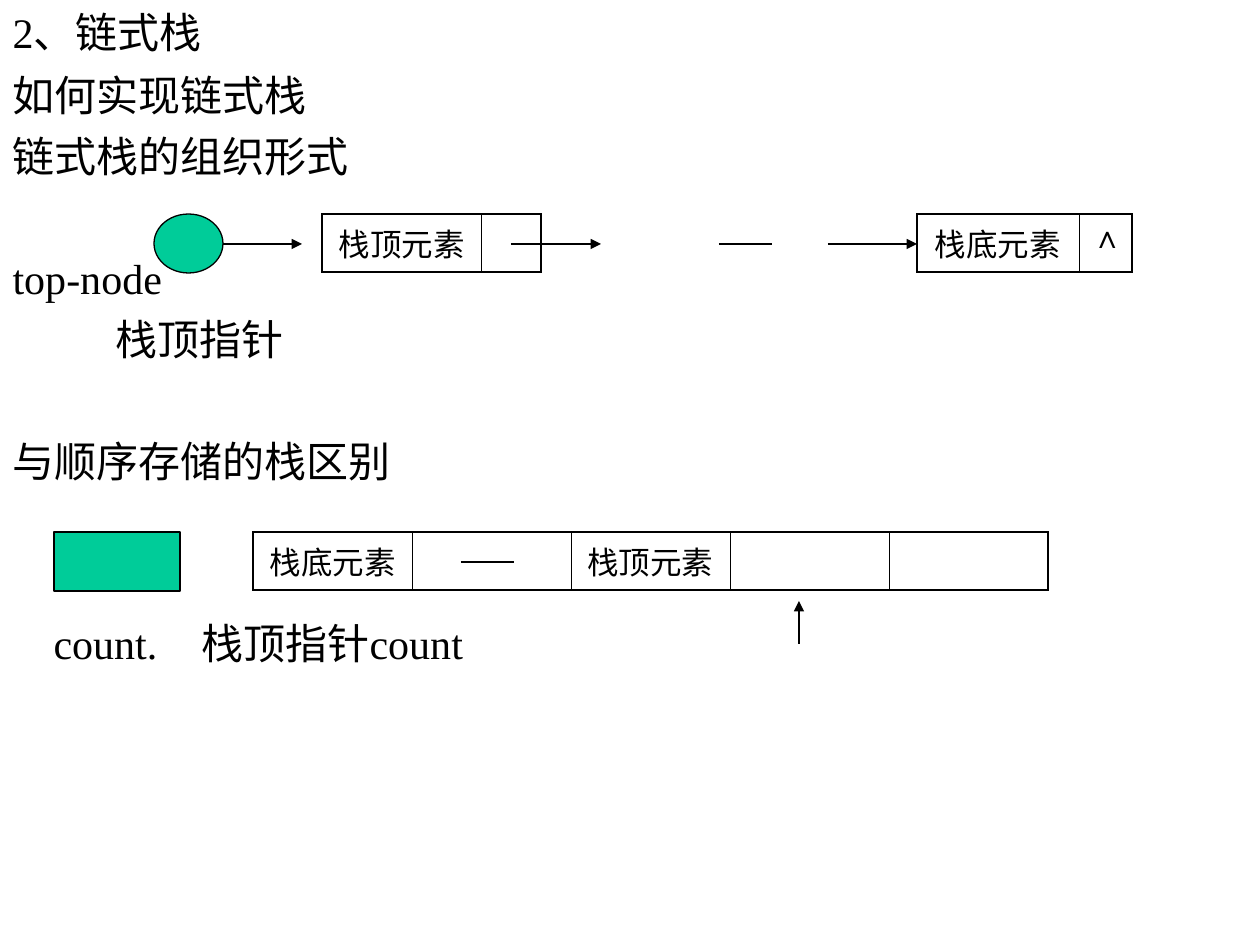
"""Build a slide that compares a linked stack with a sequential stack."""
from lxml import etree
from pptx import Presentation
from pptx.dml.color import RGBColor
from pptx.enum.shapes import MSO_CONNECTOR, MSO_SHAPE
from pptx.enum.text import MSO_ANCHOR, MSO_AUTO_SIZE, PP_ALIGN
from pptx.oxml.ns import qn
from pptx.util import Pt

PIXEL = 914400 // 126
BLACK = RGBColor(0x00, 0x00, 0x00)
GREEN = RGBColor(0x00, 0xCC, 0x99)
FONT = "Times New Roman"
LEFT, CENTER = PP_ALIGN.LEFT, PP_ALIGN.CENTER
TOP, MIDDLE = MSO_ANCHOR.TOP, MSO_ANCHOR.MIDDLE
STRAIGHT = MSO_CONNECTOR.STRAIGHT
OUTER, INNER = Pt(1.08), Pt(0.45)


def write_text(paragraph, text, size=24, align=LEFT, before=0):
    paragraph.alignment = align
    paragraph.space_before = Pt(before)
    run = paragraph.add_run()
    run.text = text
    run.font.size = Pt(size)
    run.font.name = FONT
    run.font.color.rgb = BLACK


def add_border(cell, side, width):
    properties = cell._tc.get_or_add_tcPr()
    border = etree.SubElement(properties, qn(f"a:{side}"), w=str(width))
    fill = etree.SubElement(border, qn("a:solidFill"))
    etree.SubElement(fill, qn("a:srgbClr"), val=str(BLACK))


presentation = Presentation()
presentation.slide_width = 1260 * PIXEL
presentation.slide_height = 945 * PIXEL
slide = presentation.slides.add_slide(presentation.slide_layouts[1])

title = slide.shapes.title
body = slide.placeholders[1]
for placeholder, top, width, height, anchor in (
    (title, 0, 1071, 63, MIDDLE),
    (body, 63, 1229, 851, TOP),
):
    placeholder.left, placeholder.top = 0, top * PIXEL
    placeholder.width, placeholder.height = width * PIXEL, height * PIXEL
    placeholder.text_frame.auto_size = MSO_AUTO_SIZE.NONE
    placeholder.text_frame.word_wrap = True
    placeholder.text_frame.vertical_anchor = anchor
write_text(title.text_frame.paragraphs[0], "2、链式栈")

body_lines = [
    ("如何实现链式栈", 0, 6),
    ("链式栈的组织形式", 0, 6),
    ("top-node", 0, 41),
    ("栈顶指针", 103, 6),
    ("与顺序存储的栈区别", 0, 41),
    ("count.\t栈顶指针count", 41, 75),
]
for index, (text, indent, before) in enumerate(body_lines):
    frame = body.text_frame
    paragraph = frame.add_paragraph() if index else frame.paragraphs[0]
    write_text(paragraph, text, before=before)
    properties = paragraph._p.get_or_add_pPr()
    properties.set("marL", "0")
    properties.set("indent", str(indent * PIXEL))
    etree.SubElement(properties, qn("a:buNone"))
    if "\t" in text:
        tabs = etree.SubElement(properties, qn("a:tabLst"))
        etree.SubElement(tabs, qn("a:tab"), pos=str(817 * PIXEL), algn="l")

ROW_HEIGHT = 58
stack_tables = [
    (253, 532, [159] * 5, ["栈底元素", "", "栈顶元素", "", ""]),
    (322, 214, [159, 60], ["栈顶元素", ""]),
    (917, 214, [162, 53], ["栈底元素", "∧"]),
]
for left, top, widths, texts in stack_tables:
    table = slide.shapes.add_table(
        1, len(widths), left * PIXEL, top * PIXEL, sum(widths) * PIXEL, ROW_HEIGHT * PIXEL
    ).table
    table.first_row = False
    table.horz_banding = False
    last = len(widths) - 1
    for column, (width, text) in enumerate(zip(widths, texts)):
        table.columns[column].width = width * PIXEL
        cell = table.cell(0, column)
        add_border(cell, "lnL", INNER if column else OUTER)
        add_border(cell, "lnR", OUTER if column == last else INNER)
        add_border(cell, "lnT", OUTER)
        add_border(cell, "lnB", OUTER)
        cell.fill.background()
        symbol = text == "∧"
        cell.vertical_anchor = TOP if symbol else MIDDLE
        if text:
            align = LEFT if symbol else CENTER
            write_text(cell.text_frame.paragraphs[0], text, size=18, align=align, before=4.5)

lines = [
    (799, 644, 799, 601, True),
    (184, 244, 302, 244, True),
    (511, 244, 601, 244, True),
    (719, 244, 772, 244, False),
    (828, 244, 917, 244, True),
    (461, 562, 514, 562, False),
]
for *ends, has_arrow in lines:
    connector = slide.shapes.add_connector(STRAIGHT, *[end * PIXEL for end in ends])
    connector.line.color.rgb = BLACK
    connector.line.width = Pt(0.74)
    if has_arrow:
        etree.SubElement(connector.line._get_or_add_ln(), qn("a:tailEnd"), type="triangle")
    etree.SubElement(connector._element.spPr, qn("a:effectLst"))

pointers = [
    (MSO_SHAPE.OVAL, 154, 214, 69),
    (MSO_SHAPE.RECTANGLE, 54, 532, 126),
]
for kind, left, top, width in pointers:
    shape = slide.shapes.add_shape(kind, left * PIXEL, top * PIXEL, width * PIXEL, 59 * PIXEL)
    shape.shadow.inherit = False
    shape.fill.solid()
    shape.fill.fore_color.rgb = GREEN
    shape.line.color.rgb = BLACK
    shape.line.width = Pt(0.74)

presentation.save("out.pptx")
